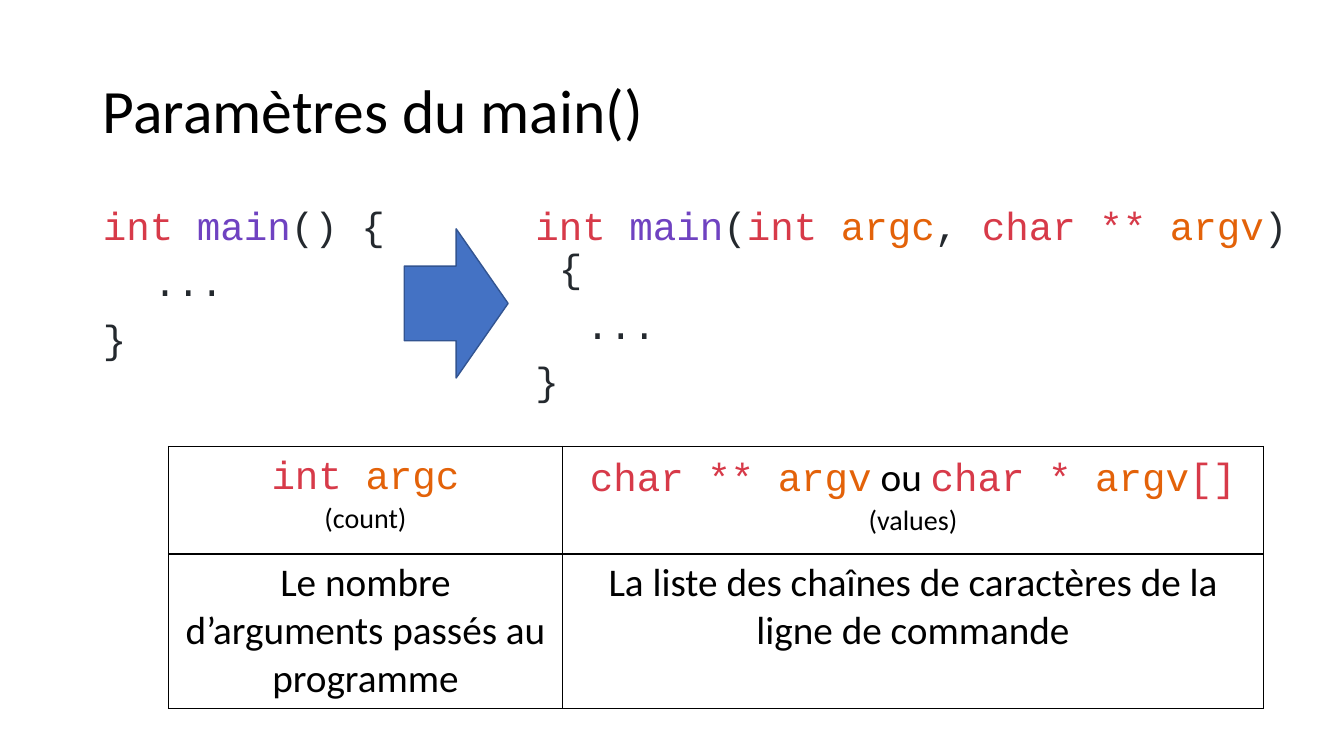
from dataclasses import dataclass

from lxml import etree
from pptx import Presentation
from pptx import util as u
from pptx.dml.color import RGBColor
from pptx.enum import shapes, text
from pptx.oxml import ns


@dataclass(frozen=True)
class Theme:
    body_font: str = "Calibri"
    code_font: str = "Courier New"
    title_size: int = 44
    body_size: int = 28
    note_size: int = 20
    black: str = "000000"
    keyword: str = "D73A49"
    function: str = "6F42C1"
    argument: str = "E36209"
    plain: str = "24292E"
    arrow: str = "4472C4"
    arrow_line: str = "325491"


def rgb(color):
    return RGBColor.from_string(color)


def add_child(parent, tag, **attributes):
    return etree.SubElement(parent, ns.qn(tag), attributes)


class SlideBuilder:
    def __init__(self, presentation, theme):
        self.theme = theme
        self.slide = presentation.slides.add_slide(presentation.slide_layouts[3])

    def place(self, shape, left, top, width, height):
        shape.left, shape.top = u.Inches(left), u.Inches(top)
        shape.width, shape.height = u.Inches(width), u.Inches(height)

    def style(self, paragraph, font, size, color=None):
        paragraph.font.name = font
        paragraph.font.size = u.Pt(size)
        if color:
            paragraph.font.color.rgb = rgb(color)

    def add_code(self, paragraph, pieces):
        theme = self.theme
        for words, color in pieces:
            run = paragraph.add_run()
            is_code = color != theme.black
            run.text = words.replace(" ", chr(160)) if is_code else words
            run.font.color.rgb = rgb(color)
            if not is_code:
                run.font.name = theme.body_font
        self.style(paragraph, theme.code_font, theme.body_size)

    def title(self, words, box):
        shape = self.slide.shapes.title
        self.place(shape, *box)
        frame = shape.text_frame
        frame.text = words
        frame.vertical_anchor = text.MSO_ANCHOR.MIDDLE
        paragraph = frame.paragraphs[0]
        paragraph.alignment = text.PP_ALIGN.LEFT
        paragraph.line_spacing = 0.9
        self.style(paragraph, self.theme.body_font, self.theme.title_size, self.theme.black)

    def code_block(self, index, lines, box):
        shape = self.slide.placeholders[index]
        self.place(shape, *box)
        frame = shape.text_frame
        frame.word_wrap = True
        frame.auto_size = text.MSO_AUTO_SIZE.NONE
        for number, pieces in enumerate(lines):
            paragraph = frame.add_paragraph() if number else frame.paragraphs[0]
            properties = paragraph._p.get_or_add_pPr()
            properties.set("marL", "0")
            properties.set("indent", "0")
            add_child(properties, "a:buNone")
            tabs = add_child(properties, "a:tabLst")
            add_child(tabs, "a:tab", pos=str(u.Inches(1)), algn="l")
            paragraph.line_spacing = 0.9
            paragraph.space_before = u.Pt(10)
            self.add_code(paragraph, pieces)

    def arrow(self, box):
        shape = self.slide.shapes.add_shape(
            shapes.MSO_SHAPE.RIGHT_ARROW, *(u.Inches(length) for length in box)
        )
        shape.shadow.inherit = False
        shape.fill.solid()
        shape.fill.fore_color.rgb = rgb(self.theme.arrow)
        shape.line.color.rgb = rgb(self.theme.arrow_line)
        shape.line.width = u.Pt(1)

    def border(self, cell):
        properties = cell._tc.get_or_add_tcPr()
        for position, side in enumerate(("a:lnL", "a:lnR", "a:lnT", "a:lnB")):
            line = add_child(properties, side, w=str(u.Pt(1)))
            fill = add_child(line, "a:solidFill")
            add_child(fill, "a:srgbClr", val=self.theme.black)
            properties.insert(position, line)

    def table(self, columns, left, top, widths, heights):
        theme = self.theme
        frame = self.slide.shapes.add_table(
            len(heights), len(widths), u.Inches(left), u.Inches(top),
            u.Inches(sum(widths)), u.Inches(sum(heights)),
        )
        table = frame.table
        table.first_row = table.horz_banding = False
        for row, height in zip(table.rows, heights):
            row.height = u.Inches(height)
        for index, (width, column) in enumerate(zip(widths, columns)):
            table.columns[index].width = u.Inches(width)
            pieces, note, description = column
            header, detail = table.cell(0, index), table.cell(1, index)
            header.vertical_anchor = text.MSO_ANCHOR.MIDDLE
            header.margin_top, header.margin_bottom = u.Inches(0.08), u.Inches(0.16)
            self.add_code(header.text_frame.paragraphs[0], pieces)
            caption = header.text_frame.add_paragraph()
            caption.text = note
            self.style(caption, theme.body_font, theme.note_size, theme.black)
            detail.text = description
            self.style(detail.text_frame.paragraphs[0], theme.body_font, theme.body_size, theme.black)
            for cell in (header, detail):
                cell.fill.background()
                self.border(cell)
                for paragraph in cell.text_frame.paragraphs:
                    paragraph.alignment = text.PP_ALIGN.CENTER


def main():
    presentation = Presentation()
    presentation.slide_width, presentation.slide_height = u.Inches(13.33), u.Inches(7.5)
    theme = Theme()
    builder = SlideBuilder(presentation, theme)
    builder.title("Paramètres du main()", (0.92, 0.4, 11.5, 1.45))

    int_type = ("int ", theme.keyword)
    char_type = ("char ** ", theme.keyword)
    argc, argv = ("argc", theme.argument), ("argv", theme.argument)
    start = [int_type, ("main", theme.function)]
    rest = [[("\t...", theme.plain)], [("}", theme.plain)]]
    without_parameters = start + [("() {", theme.plain)]
    with_parameters = start + [
        ("(", theme.plain), int_type, argc, (", ", theme.plain),
        char_type, argv, (") {", theme.plain),
    ]
    builder.code_block(1, [without_parameters] + rest, (0.92, 2, 4.16, 4.76))
    builder.code_block(2, [with_parameters] + rest, (5.21, 2, 7.67, 4.76))
    builder.arrow((4.01, 2.27, 1.03, 1.48))

    argv_forms = [
        char_type, argv, (" ou ", theme.black),
        ("char * ", theme.keyword), argv, ("[]", theme.keyword),
    ]
    columns = [
        ([int_type, argc], "(count)", "Le nombre d’arguments passés au programme"),
        (argv_forms, "(values)", "La liste des chaînes de caractères de la ligne de commande"),
    ]
    builder.table(columns, 1.67, 4.43, (3.91, 6.95), (1.06, 1.53))
    presentation.save("out.pptx")


if __name__ == "__main__":
    main()
